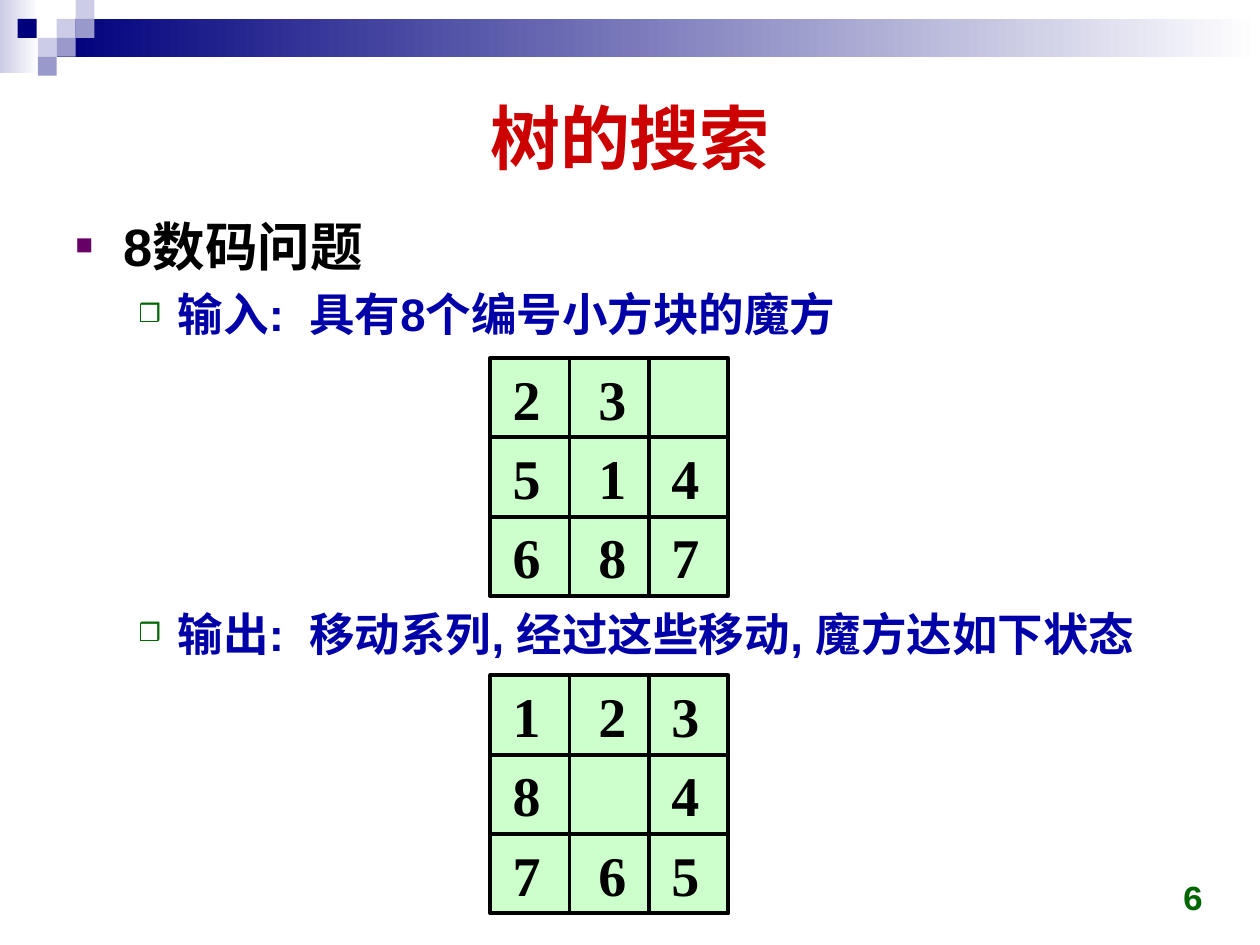
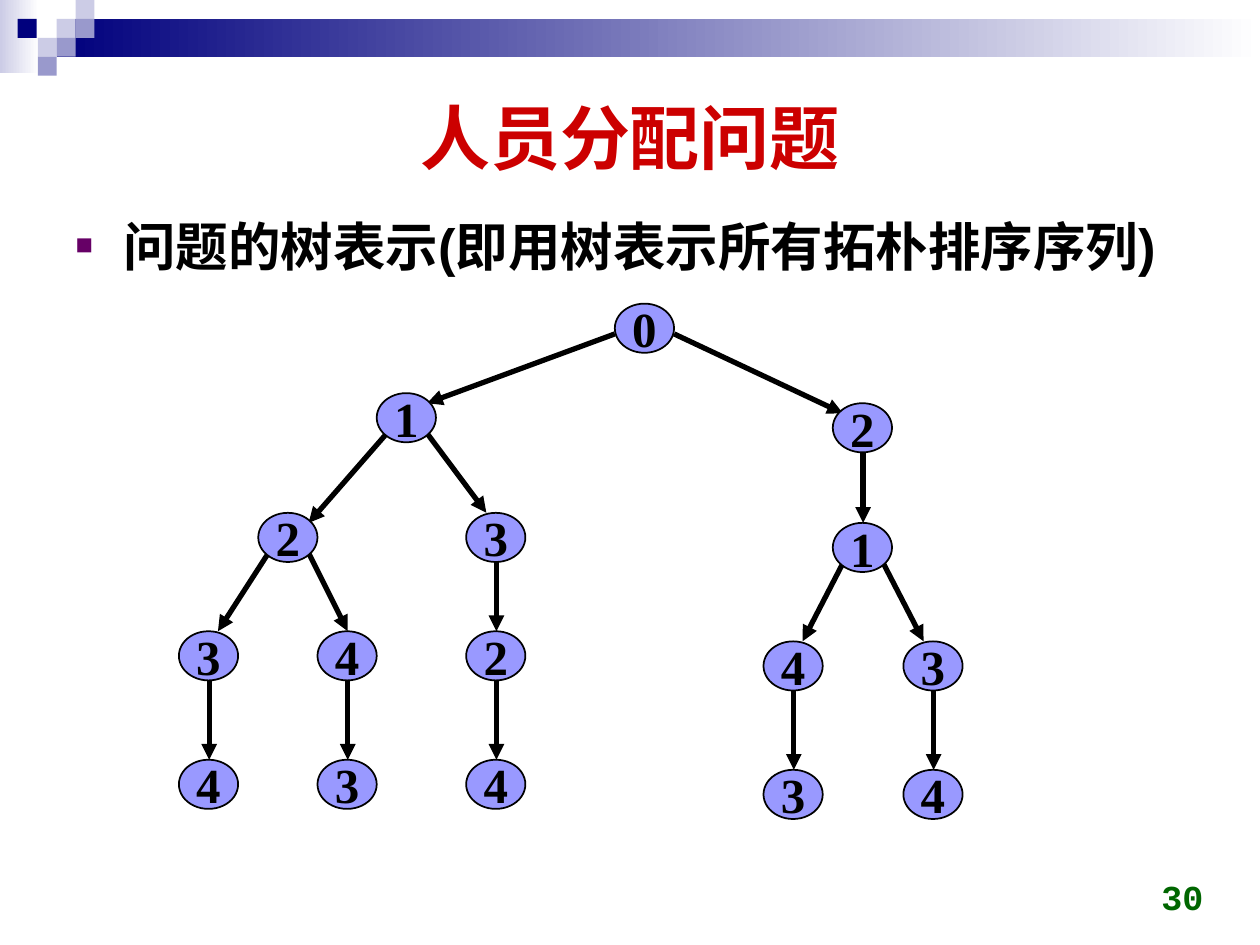
from lxml import etree
from pptx import Presentation
from pptx.dml.color import RGBColor
from pptx.enum.shapes import MSO_CONNECTOR, MSO_SHAPE
from pptx.enum.text import MSO_ANCHOR, MSO_AUTO_SIZE, PP_ALIGN
from pptx.oxml.ns import qn
from pptx.util import Inches, Pt

RECT, OVAL = MSO_SHAPE.RECTANGLE, MSO_SHAPE.OVAL
LINE = MSO_CONNECTOR.STRAIGHT
MIDDLE, BOTTOM = MSO_ANCHOR.MIDDLE, MSO_ANCHOR.BOTTOM
CENTER, RIGHT = PP_ALIGN.CENTER, PP_ALIGN.RIGHT
FIXED, GROW = MSO_AUTO_SIZE.NONE, MSO_AUTO_SIZE.SHAPE_TO_FIT_TEXT

COLORS = {
    "navy": "00007D", "pale": "CCCCE6", "mid": "9999CC", "white": "FFFFFF",
    "red": "CC0000", "black": "000000", "blue": "0000A8", "plum": "660066",
    "green": "006600", "mint": "CCFFCC", "node": "9999FF",
}
SANS, SERIF, MONO = "Arial", "Times New Roman", "Courier New"

# List levels: size, colour, left margin, hang, bullet, bullet colour
LEVELS = [
    (30, "black", 0.38, 0.38, "■", "plum"),
    (26, "blue", 0.81, 0.31, "❒", "green"),
]


def rgb(name):
    return RGBColor.from_string(COLORS[name])


def inch(*nums):
    return [Inches(n) for n in nums]


def style(para, face, size, color, align=None):
    font = para.font
    font.name, font.size, font.bold = face, Pt(size), True
    font.color.rgb = rgb(color)
    if align is not None:
        para.alignment = align


def add_box(shapes, kind, box, fill, line=None):
    """Preset shape; a pair of colours as fill makes a gradient."""
    shape = shapes.add_shape(kind, *inch(*box))
    shape.shadow.inherit = False
    if isinstance(fill, tuple):
        shape.fill.gradient()
        shape.fill.gradient_angle = 0
        for stop, name in zip(shape.fill.gradient_stops, fill):
            stop.color.rgb = rgb(name)
    else:
        shape.fill.solid()
        shape.fill.fore_color.rgb = rgb(fill)
    if line:
        shape.line.color.rgb = rgb("black")
        shape.line.width = Pt(line)
    else:
        shape.line.fill.background()
    return shape


def add_line(shapes, start, end, width, arrow=False):
    line = shapes.add_connector(LINE, *inch(*start, *end))
    line.line.color.rgb = rgb("black")
    line.line.width = Pt(width)
    if arrow:
        etree.SubElement(line.line._get_or_add_ln(), qn("a:tailEnd"), type="triangle")
    etree.SubElement(line.element.spPr, qn("a:effectLst"))


def add_bands(slide, layout):
    """Top band and mosaic, drawn once and moved to the shared layout."""
    unit = 0.15
    parts = [
        ((0, 0, 0.31, 0.58), ("pale", "white")),
        ((0.45, unit, 9.55, 0.3), ("navy", "white")),
    ]
    tiles = [(0.45, 1, "pale"), (0.6, 0, "pale"), (0.6, 1, "mid"), (0.3, 2, "pale"),
             (0.14, 1, "navy"), (0.45, 2, "mid"), (0.3, 3, "mid")]
    parts += [((x, row * unit, unit, unit), fill) for x, row, fill in tiles]
    for num, (box, fill) in enumerate(parts):
        item = add_box(slide.shapes, RECT, box, fill).element
        item.nvSpPr.cNvPr.id = 20 + num
        layout.shapes.element.insert(2 + num, item)


def place(shape, box):
    shape.left, shape.top, shape.width, shape.height = inch(*box)
    frame = shape.text_frame
    frame.word_wrap, frame.auto_size = True, FIXED
    return frame


def add_title(slide, box, text):
    frame = place(slide.shapes.title, box)
    frame.vertical_anchor = MIDDLE
    frame.text = text
    style(frame.paragraphs[0], SANS, 40, "red", CENTER)


def add_list(slide, box, items):
    """Each item is level, text and extra space before, in points."""
    frame = place(slide.placeholders[1], box)
    frame.text = "\n".join(text for _, text, _ in items)
    for para, (level, _, gap) in zip(frame.paragraphs, items):
        size, color, left, hang, mark, tint = LEVELS[level]
        para.level = level
        style(para, SANS, size, color)
        para.line_spacing = 1.05
        para.space_before = Pt(0.15 * size + gap)
        props = para._p.get_or_add_pPr()
        props.set("marL", str(Inches(left)))
        props.set("indent", str(-Inches(hang)))
        hue = etree.Element(qn("a:buClr"))
        etree.SubElement(hue, qn("a:srgbClr"), val=COLORS[tint])
        bullet = [hue, etree.Element(qn("a:buSzPct"), val="55000"),
                  etree.Element(qn("a:buFont"), typeface=SANS),
                  etree.Element(qn("a:buChar"), char=mark)]
        spot = props.index(props.find(qn("a:spcBef"))) + 1
        props[spot:spot] = bullet


def add_page(slide, box, num):
    frame = place(slide.shapes.add_textbox(*inch(*box)), box)
    frame.vertical_anchor = BOTTOM
    frame.text = str(num)
    style(frame.paragraphs[0], MONO, 20, "green", RIGHT)


def add_puzzle(slide, box, rows):
    """Square board of 3 by 3 cells; a blank marks the empty cell."""
    left, top, side, _ = box
    cell = side / 3
    group = slide.shapes.add_group_shape().shapes
    add_box(group, RECT, box, "mint", 2.25)
    for num in (1, 2):
        x, y = left + num * cell, top + num * cell
        add_line(group, (left, y), (left + side, y), 2.25)
        add_line(group, (x, top), (x, top + side), 2.25)
    for row, digits in enumerate(rows):
        for shift, digit in zip((0.08, 0.76, 1.34), digits):
            if digit == " ":
                continue
            spot = (left + shift, top + row * cell, 0.42, cell)
            frame = slide.shapes.add_textbox(*inch(*spot)).text_frame
            frame.word_wrap, frame.auto_size = False, GROW
            frame.text = digit
            style(frame.paragraphs[0], SERIF, 32, "black")


# Points on a node where arrows start or end
PORTS = {
    "w": (0, 0.24), "e": (0.47, 0.24), "sw": (0.08, 0.32), "se": (0.4, 0.32),
    "s": (0.24, 0.39), "nw": (0.08, 0.08), "ne": (0.4, 0.08),
    "n": (0.24, 0), "nnw": (0.16, 0), "nne": (0.31, 0),
}
# Path from the root: x, port at the parent, port at the node
TREE = {
    "0": (3.46, None, None),
    "01": (1.57, "w", "ne"), "02": (5.19, "e", "nw"),
    "012": (0.63, "sw", "ne"), "013": (2.28, "se", "nnw"), "021": (5.19, "s", "n"),
    "0123": (0, "sw", "nne"), "0124": (1.1, "se", "n"), "0132": (2.28, "s", "n"),
    "0214": (4.64, "sw", "nne"), "0213": (5.75, "se", "nnw"),
    "01234": (0, "s", "n"), "01243": (1.1, "s", "n"), "01324": (2.28, "s", "n"),
    "02143": (4.64, "s", "n"), "02134": (5.75, "s", "n"),
}
DEPTHS = (0, 0.71, 1.66, 2.6, 3.62)


def add_tree(slide, left, top):
    group = slide.shapes.add_group_shape().shapes

    def spot(key):
        drop = 0.08 if key.startswith("02") else 0
        return left + TREE[key][0], top + DEPTHS[len(key) - 1] + drop

    def port(key, name):
        return [a + b for a, b in zip(spot(key), PORTS[name])]

    # Arrows lie under the nodes
    for key, (_, out, into) in TREE.items():
        if out:
            add_line(group, port(key[:-1], out), port(key, into), 3, arrow=True)
    for key in TREE:
        node = add_box(group, OVAL, (*spot(key), 0.47, 0.39), "node", 1)
        frame = node.text_frame
        frame.word_wrap, frame.vertical_anchor = False, MIDDLE
        frame.text = key[-1]
        style(frame.paragraphs[0], SERIF, 28, "black", CENTER)


def add_slide(deck, title, items, num):
    slide = deck.slides.add_slide(deck.slide_layouts[1])
    add_title(slide, (0.5, 0.5, 9, 1.16), title)
    add_list(slide, (0.5, 1.62, 9, 5.2), items)
    add_page(slide, (7.32, 6.83, 2.33, 0.5), num)
    return slide


deck = Presentation()
deck.slide_width, deck.slide_height = inch(10, 7.5)

# Slide: eight-number puzzle
slide = add_slide(deck, "树的搜索", [
    (0, "8数码问题", 0),
    (1, "输入:  具有8个编号小方块的魔方", 0),
    (1, "输出:  移动系列, 经过这些移动, 魔方达如下状态", 146),
], 6)
add_bands(slide, deck.slide_layouts[1])
add_puzzle(slide, (3.89, 2.84, 1.89, 1.89), ["23 ", "514", "687"])
add_puzzle(slide, (3.89, 5.36, 1.89, 1.89), ["123", "8 4", "765"])

# Slide: assignment tree
slide = add_slide(deck, "人员分配问题", [
    (0, "问题的树表示(即用树表示所有拓朴排序序列)", 0),
], 30)
add_tree(slide, 1.42, 2.41)

deck.save("out.pptx")
